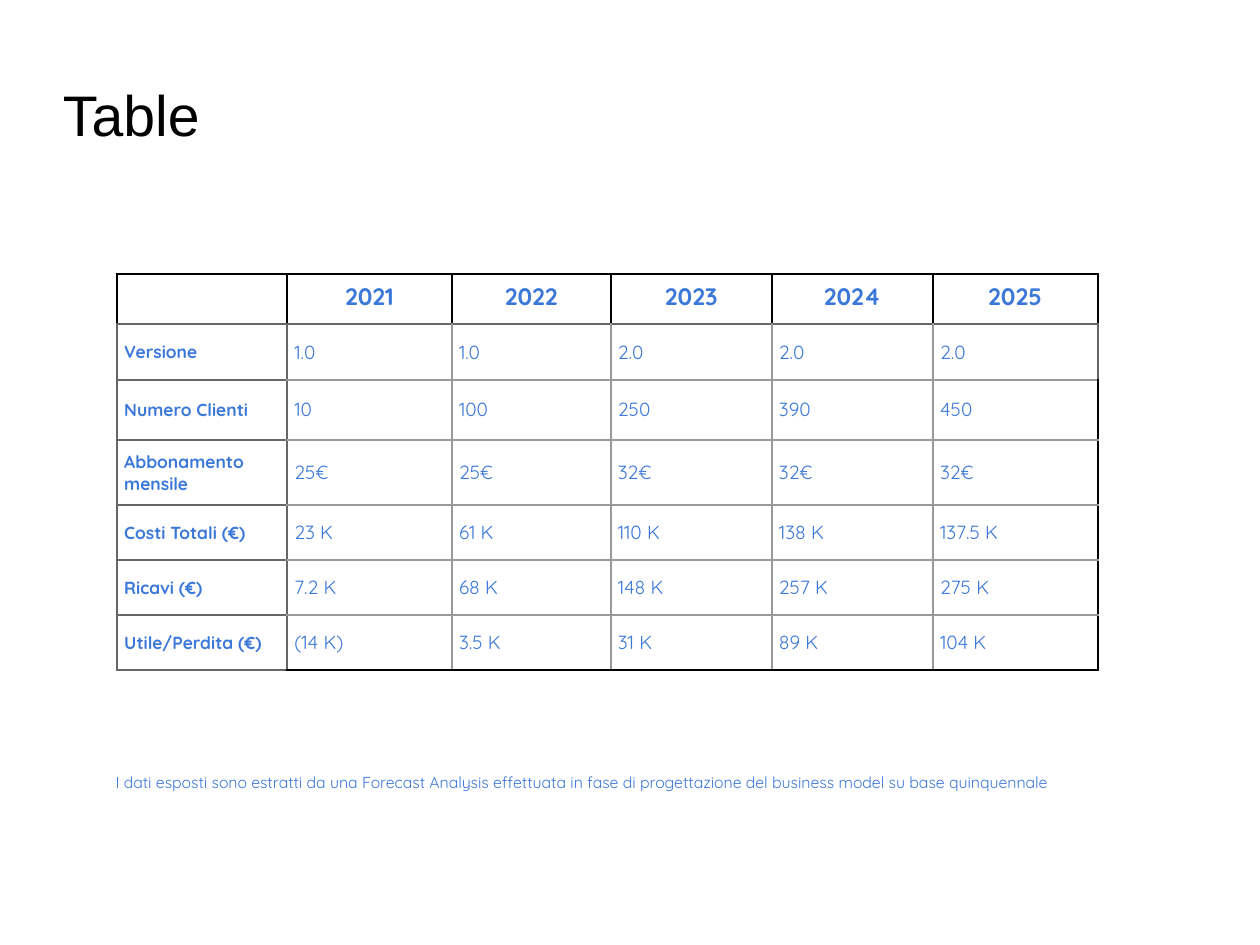
"""Build a slide with a five-year forecast table and a footnote."""
from lxml.etree import SubElement
from pptx import Presentation
from pptx.dml.color import RGBColor
from pptx.enum.text import MSO_ANCHOR as Anchor, PP_ALIGN as Align
from pptx.oxml.ns import qn
from pptx.util import Cm, Pt

BLACK, DARK, LIGHT, BLUE = "000000", "666666", "999999", "3C78D8"


def color(value):
    return RGBColor.from_string(value)


def write(paragraph, text, size, font="Quicksand", ink=BLUE, bold=False):
    run = paragraph.add_run()
    run.text = text
    for name, value in {"name": font, "size": Pt(size), "bold": bold}.items():
        setattr(run.font, name, value)
    run.font.color.rgb = color(ink)


presentation = Presentation()
presentation.slide_width, presentation.slide_height = Cm(28), Cm(21)
slide = presentation.slides.add_slide(presentation.slide_layouts[6])

title_format = {"text": "Table", "size": 36, "font": "Arial", "ink": BLACK}
note_format = {
    "text": "I dati esposti sono estratti da una Forecast Analysis effettuata "
            "in fase di progettazione del business model su base quinquennale",
    "size": 10,
}
text_boxes = [
    ((1.4, 1.6, 20, 2), (0, 0), Anchor.MIDDLE, title_format),
    ((2.32, 17.07, 23.1, 0.66), (0.25, 0.13), Anchor.TOP, note_format),
]
for place, (side, end), anchor, text_format in text_boxes:
    shape = slide.shapes.add_textbox(*map(Cm, place))
    frame_format = {
        "word_wrap": True, "vertical_anchor": anchor,
        "margin_left": Cm(side), "margin_right": Cm(side),
        "margin_top": Cm(end), "margin_bottom": Cm(end),
    }
    for name, value in frame_format.items():
        setattr(shape.text_frame, name, value)
    paragraph = shape.text_frame.paragraphs[0]
    paragraph.line_spacing = 0.94
    write(paragraph, **text_format)

forecast = [
    ["", "2021", "2022", "2023", "2024", "2025"],
    ["Versione", "1.0", "1.0", "2.0", "2.0", "2.0"],
    ["Numero Clienti", "10", "100", "250", "390", "450"],
    ["Abbonamento mensile", "25€", "25€", "32€", "32€", "32€"],
    ["Costi Totali (€)", "23 K", "61 K", "110 K", "138 K", "137.5 K"],
    ["Ricavi (€)", "7.2 K", "68 K", "148 K", "257 K", "275 K"],
    ["Utile/Perdita (€)", "(14 K)", "3.5 K", "31 K", "89 K", "104 K"],
]
column_widths = [3.78, 3.66, 3.53, 3.58, 3.58, 3.66]
row_heights = [1.12, 1.23, 1.33, 1.46, 1.22, 1.22, 1.22]

body_edges = [DARK] * 2 + [LIGHT] * 4
vertical_edges = [[BLACK] * 7, body_edges + [DARK]] + [body_edges + [BLACK]] * 5
horizontal_edges = (
    [[BLACK] * 6, [DARK] * 6] + [[DARK] + [LIGHT] * 5] * 5 + [[DARK] + [BLACK] * 5]
)

table = slide.shapes.add_table(
    len(row_heights), len(column_widths), Cm(2.6), Cm(6.09),
    Cm(sum(column_widths)), Cm(sum(row_heights)),
).table
table.first_row = table.horz_banding = False
for column, width in zip(table.columns, column_widths):
    column.width = Cm(width)
for row, height in zip(table.rows, row_heights):
    row.height = Cm(height)

for i, values in enumerate(forecast):
    for j, text in enumerate(values):
        cell = table.cell(i, j)
        cell_format = {
            "margin_left": Cm(0.16), "margin_right": Cm(0.16),
            "margin_top": Cm(0.17), "margin_bottom": Cm(0.17),
            "vertical_anchor": Anchor.MIDDLE if i else Anchor.TOP,
        }
        for name, value in cell_format.items():
            setattr(cell, name, value)
        paragraph = cell.text_frame.paragraphs[0]
        paragraph.alignment = Align.LEFT if i else Align.CENTER
        size = 15 if i == 0 else 11 if j == 0 else 12
        write(paragraph, text, size, bold=i == 0 or j == 0)

        borders = {
            "a:lnL": vertical_edges[i][j], "a:lnR": vertical_edges[i][j + 1],
            "a:lnT": horizontal_edges[i][j], "a:lnB": horizontal_edges[i + 1][j],
        }
        properties = cell._tc.get_or_add_tcPr()
        for tag, ink in borders.items():
            line = SubElement(properties, qn(tag), w=str(Pt(1.5)))
            fill = SubElement(line, qn("a:solidFill"))
            SubElement(fill, qn("a:srgbClr"), val=ink)
        cell.fill.background()

presentation.save("out.pptx")
